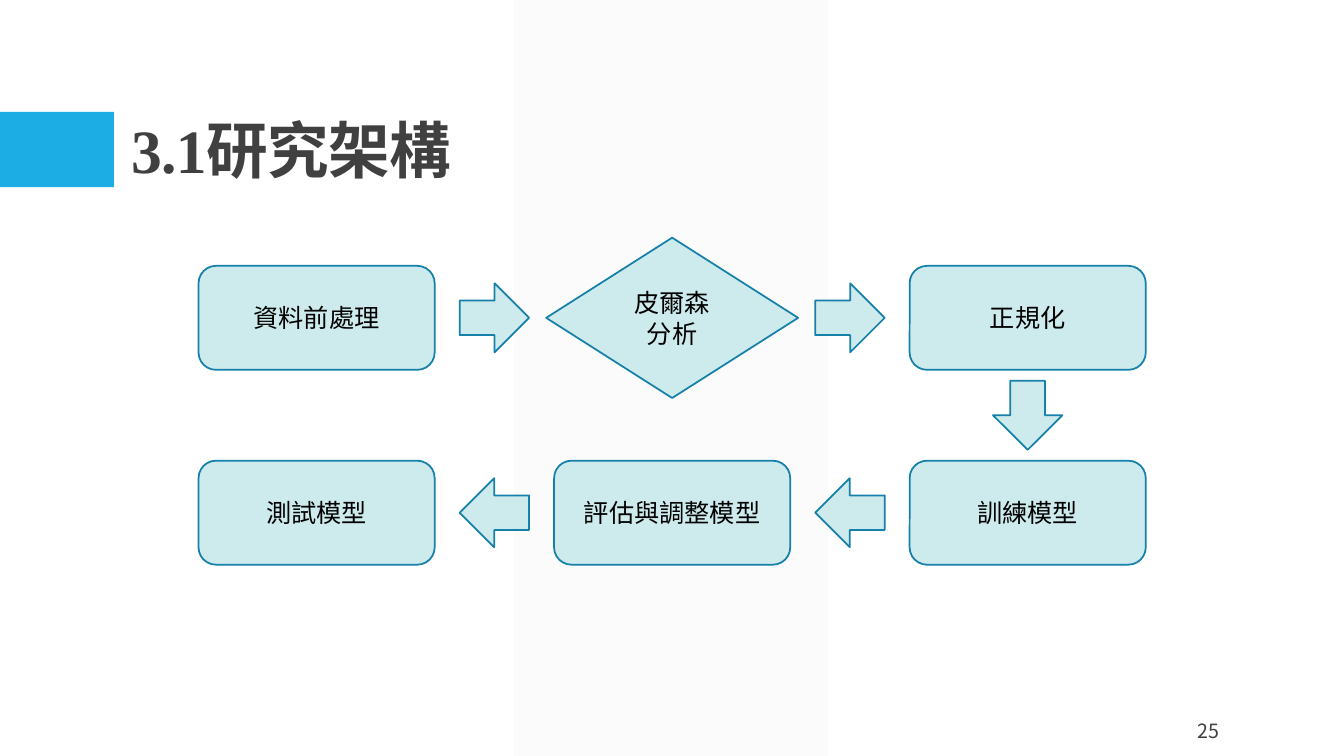
import lxml.etree
import pptx
import pptx.dml.color
import pptx.enum.shapes
import pptx.enum.text
import pptx.oxml.ns
import pptx.util

Cm, Pt = pptx.util.Cm, pptx.util.Pt
SHAPE = pptx.enum.shapes.MSO_SHAPE
ALIGN = pptx.enum.text.PP_ALIGN
ANCHOR = pptx.enum.text.MSO_ANCHOR

# Content: steps as (column, row, kind, lines), arrows as (column, row, kind)
TITLE = "3.1研究架構"
PAGE_NUMBER = "25"
STEPS = [
    (0, 0, SHAPE.ROUNDED_RECTANGLE, ["資料前處理"]),
    (1, 0, SHAPE.FLOWCHART_DECISION, ["皮爾森", "分析"]),
    (2, 0, SHAPE.ROUNDED_RECTANGLE, ["正規化"]),
    (2, 1, SHAPE.ROUNDED_RECTANGLE, ["訓練模型"]),
    (1, 1, SHAPE.ROUNDED_RECTANGLE, ["評估與調整模型"]),
    (0, 1, SHAPE.ROUNDED_RECTANGLE, ["測試模型"]),
]
# Arrows sit halfway between two steps
ARROWS = [
    (0.5, 0, SHAPE.RIGHT_ARROW),
    (1.5, 0, SHAPE.RIGHT_ARROW),
    (2, 0.5, SHAPE.DOWN_ARROW),
    (1.5, 1, SHAPE.LEFT_ARROW),
    (0.5, 1, SHAPE.LEFT_ARROW),
]

# Style and grid, in centimetres
COLORS = {"band": "F2F2F2", "accent": "1CADE4", "heading": "404040",
          "fill": "CDEAEC", "line": "1580A9", "text": "000000"}
LATIN_FONT, CHINESE_FONT = "Times New Roman", "Noto Sans CJK TC"
FIRST_X, FIRST_Y = 7.98, 8.01
STEP_X, STEP_Y = 8.96, 4.91
BOX_SIZE, DIAMOND_SIZE, ARROW_SIZE = (5.95, 2.62), (6.35, 4.04), (1.75, 1.74)


def rgb(name):
    return pptx.dml.color.RGBColor.from_string(COLORS[name])


def format_paragraph(paragraph, size, color, alignment, latin=LATIN_FONT, bold=False):
    paragraph.alignment = alignment
    font = paragraph.font
    font.size, font.bold, font.name = Pt(size), bold, latin
    font.color.rgb = rgb(color)
    properties = font._element
    east_asian = lxml.etree.SubElement(properties, pptx.oxml.ns.qn("a:ea"))
    east_asian.set("typeface", CHINESE_FONT)


def add_filled_shape(slide, kind, left, top, width, height, fill, line=None):
    shape = slide.shapes.add_shape(kind, Cm(left), Cm(top), Cm(width), Cm(height))
    shape.shadow.inherit = False
    shape.fill.solid()
    shape.fill.fore_color.rgb = rgb(fill)
    if line:
        shape.line.color.rgb = rgb(line)
        shape.line.width = Pt(1.25)
    else:
        shape.line.fill.background()
    return shape


def add_flow_shape(slide, kind, column, row, size):
    width, height = size
    left = FIRST_X + column * STEP_X - width / 2
    top = FIRST_Y + row * STEP_Y - height / 2
    return add_filled_shape(slide, kind, left, top, width, height, "fill", "line")


def add_background(slide):
    band = add_filled_shape(slide, SHAPE.RECTANGLE, 12.95, 0, 7.92, 19.05, "band")
    color = band.fill._xPr.find(".//" + pptx.oxml.ns.qn("a:srgbClr"))
    lxml.etree.SubElement(color, pptx.oxml.ns.qn("a:alpha")).set("val", "30000")
    add_filled_shape(slide, SHAPE.RECTANGLE, 0, 2.82, 2.87, 1.9, "accent")


def add_title(slide):
    title = slide.shapes.title
    title.left, title.top, title.width, title.height = Cm(3.05), Cm(0.79), Cm(27.94), Cm(4.04)
    frame = title.text_frame
    frame.text = TITLE
    frame.vertical_anchor = ANCHOR.BOTTOM
    frame.auto_size = pptx.enum.text.MSO_AUTO_SIZE.NONE
    paragraph = frame.paragraphs[0]
    paragraph.line_spacing = 0.9
    format_paragraph(paragraph, 44, "heading", ALIGN.LEFT, bold=True)
    paragraph.font._element.set("spc", "-50")
    # Bring the title in front of the band
    slide.shapes._spTree.append(title._element)


def add_page_number(slide):
    box = slide.shapes.add_textbox(Cm(28.83), Cm(17.91), Cm(2.16), Cm(1.02))
    frame = box.text_frame
    frame.word_wrap = True
    frame.vertical_anchor = ANCHOR.MIDDLE
    frame.text = PAGE_NUMBER
    format_paragraph(frame.paragraphs[0], 14, "heading", ALIGN.RIGHT, latin=CHINESE_FONT)


def add_flow(slide):
    for column, row, kind in ARROWS:
        add_flow_shape(slide, kind, column, row, ARROW_SIZE)
    for column, row, kind, lines in STEPS:
        size = DIAMOND_SIZE if kind == SHAPE.FLOWCHART_DECISION else BOX_SIZE
        frame = add_flow_shape(slide, kind, column, row, size).text_frame
        frame.word_wrap = True
        frame.vertical_anchor = ANCHOR.MIDDLE
        frame.text = "\n".join(lines)
        for paragraph in frame.paragraphs:
            format_paragraph(paragraph, 18, "text", ALIGN.CENTER)


def main():
    presentation = pptx.Presentation()
    presentation.slide_width, presentation.slide_height = Cm(33.87), Cm(19.05)
    slide = presentation.slides.add_slide(presentation.slide_layouts[5])
    add_background(slide)
    add_title(slide)
    add_page_number(slide)
    add_flow(slide)
    presentation.save("out.pptx")


if __name__ == "__main__":
    main()
